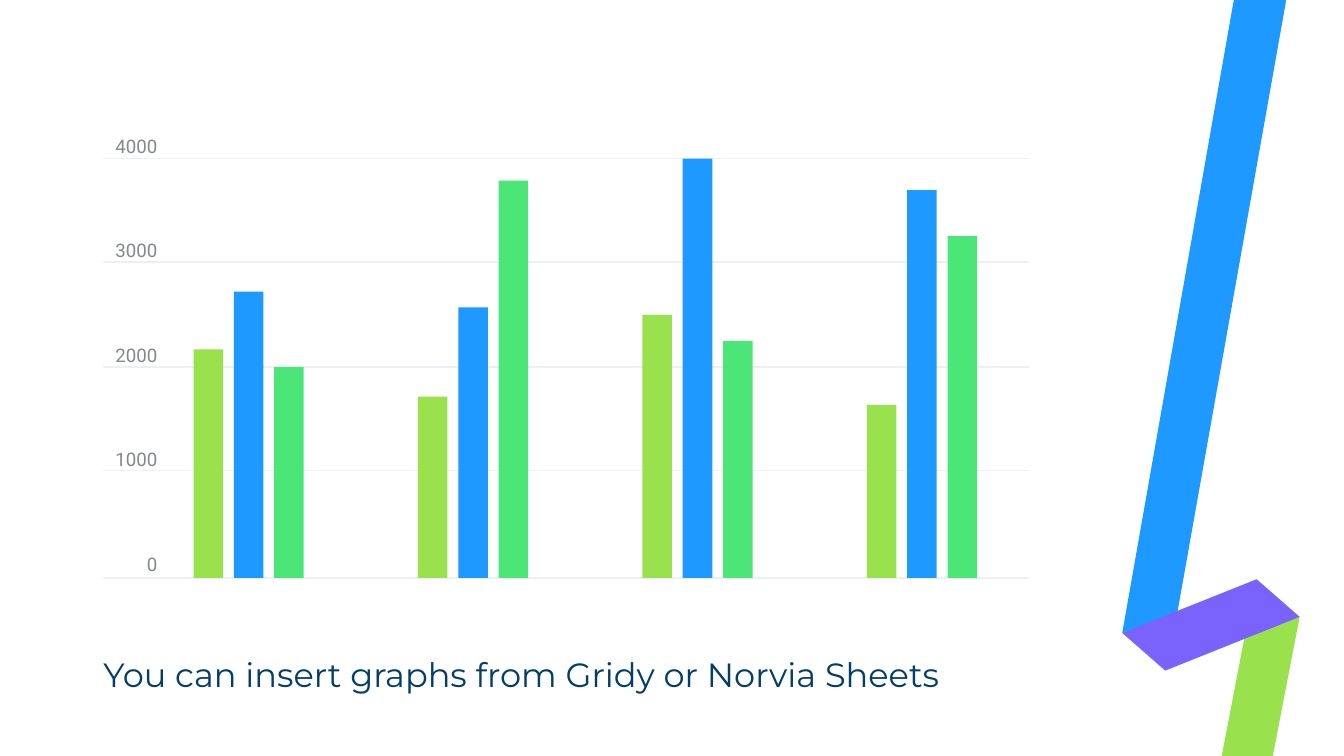
from lxml.etree import SubElement
from pptx import Presentation
from pptx.dml.color import RGBColor
from pptx.enum.shapes import MSO_CONNECTOR, MSO_SHAPE
from pptx.enum.text import PP_ALIGN
from pptx.oxml.ns import qn
from pptx.util import Inches, Pt

# Content
WIDTH, HEIGHT = 10, 10 * 9 / 16
COLORS = {"lime": "99E24D", "blue": "1D99FF", "green": "4CE577", "violet": "7963FC",
          "navy": "023E69", "gray": "84898D", "grid": "ECEFF3"}
CAPTION = "You can insert graphs from Gridy or Norvia Sheets"
AXIS_LABELS = ["4000", "3000", "2000", "1000", "0"]
SERIES = ["lime", "blue", "green"]
GROUPS = [(2180, 2730, 2010), (1730, 2580, 3790), (2510, 4000, 2260), (1650, 3700, 3260)]
RIBBON = [
    ("blue", [(9.18, 0), (9.57, 0), (8.76, 4.56), (8.35, 4.71)]),
    ("lime", [(9.09, HEIGHT), (9.26, 4.74), (9.67, 4.59), (9.47, HEIGHT)]),
    ("violet", [(8.35, 4.71), (9.35, 4.31), (9.67, 4.59), (8.67, 4.99)]),
]

# Chart layout
LEFT, RIGHT = 0.77, 7.66
GRID_LINES = [1.18, 1.95, 2.73, 3.5, 4.3]
TOP, BASE = GRID_LINES[0], GRID_LINES[-1]
MAXIMUM = 4000
FIRST_BAR, BAR_WIDTH, BAR_STEP, GROUP_STEP = 1.44, 0.22, 0.3, 1.67

presentation = Presentation()
presentation.slide_width = Inches(WIDTH)
presentation.slide_height = Inches(HEIGHT)
slide = presentation.slides.add_slide(presentation.slide_layouts[6])


def paint(shape, color):
    shape.shadow.inherit = False
    shape.fill.solid()
    shape.fill.fore_color.rgb = RGBColor.from_string(COLORS[color])
    shape.line.fill.background()


def add_text(lines, left, top, width, height, *, font, size, color,
             align=PP_ALIGN.LEFT, before=0, after=0, spacing=1.0):
    frame = slide.shapes.add_textbox(*map(Inches, (left, top, width, height))).text_frame
    frame.word_wrap = True
    frame.margin_left = frame.margin_right = frame.margin_top = frame.margin_bottom = 0
    for index, line in enumerate(lines):
        paragraph = frame.add_paragraph() if index else frame.paragraphs[0]
        paragraph.alignment = align
        paragraph.line_spacing = spacing
        paragraph.space_before = Pt(before if index else 0)
        paragraph.space_after = Pt(after)
        run = paragraph.add_run()
        run.text = line
        run.font.name = font
        run.font.size = Pt(size)
        run.font.color.rgb = RGBColor.from_string(COLORS[color])


# Folded ribbon
for color, points in RIBBON:
    corners = [(Inches(x), Inches(y)) for x, y in points]
    builder = slide.shapes.build_freeform(*corners[0])
    builder.add_line_segments(corners[1:], close=True)
    paint(builder.convert_to_shape(), color)

# Caption
add_text([CAPTION], LEFT, 4.82, 8.13, 0.38, font="Montserrat", size=18, color="navy",
         after=8, spacing=1.15)

# Grid lines
for y in GRID_LINES:
    line = slide.shapes.add_connector(
        MSO_CONNECTOR.STRAIGHT, Inches(LEFT), Inches(y), Inches(RIGHT), Inches(y))
    line.line.color.rgb = RGBColor.from_string(COLORS["grid"])
    line.line.width = Pt(0.75)
    SubElement(line._element.spPr, qn("a:effectLst"))

# Axis labels
add_text(AXIS_LABELS, LEFT, 1, 0.4, 3.31, font="Roboto", size=10, color="gray",
         align=PP_ALIGN.RIGHT, before=44)

# Bars
for group, values in enumerate(GROUPS):
    for position, (color, value) in enumerate(zip(SERIES, values)):
        left = FIRST_BAR + group * GROUP_STEP + position * BAR_STEP
        height = (BASE - TOP) * value / MAXIMUM
        bar = slide.shapes.add_shape(
            MSO_SHAPE.RECTANGLE, Inches(left), Inches(BASE - height),
            Inches(BAR_WIDTH), Inches(height))
        paint(bar, color)

presentation.save("out.pptx")
